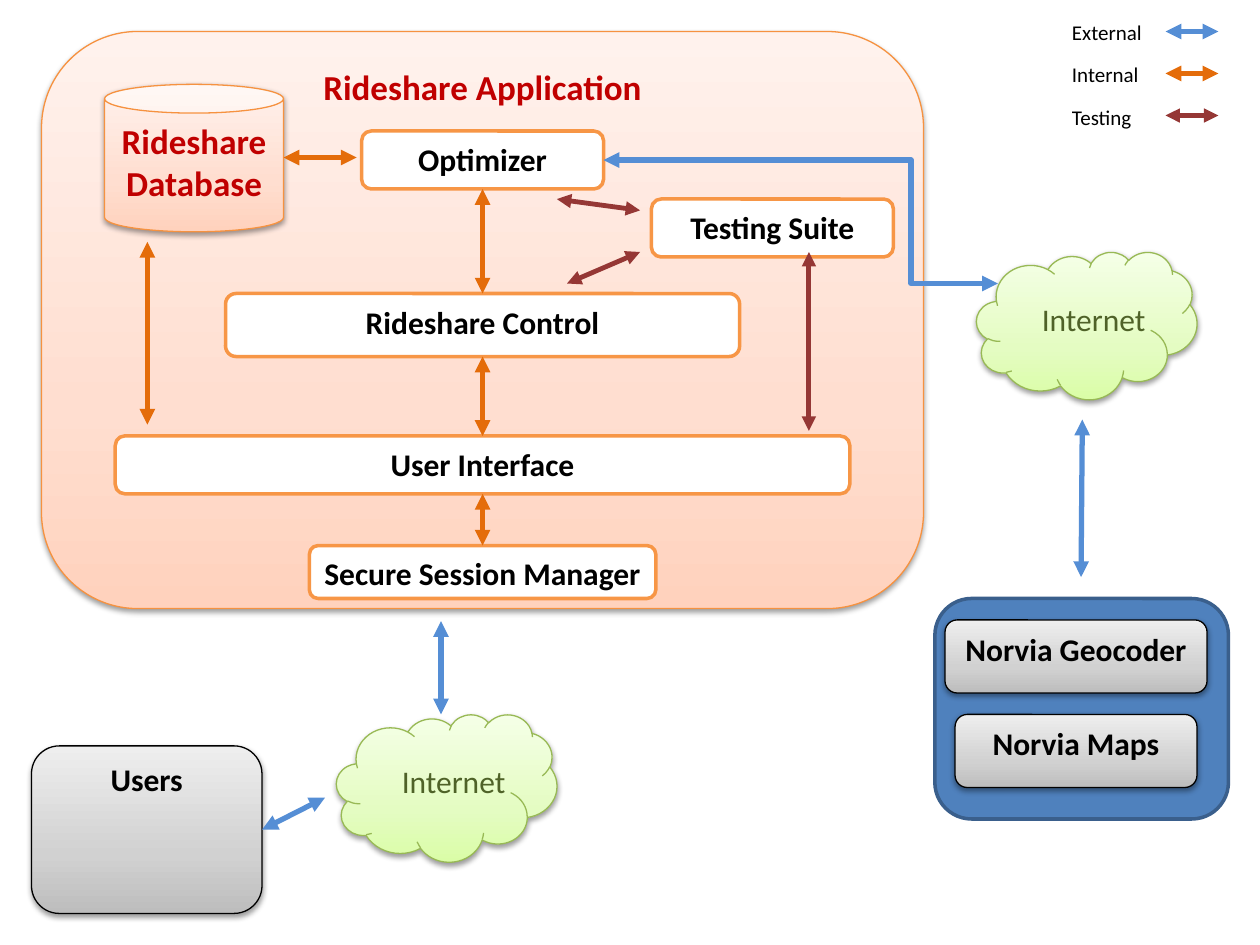
from itertools import pairwise
from lxml.etree import SubElement
from pptx import Presentation
from pptx.dml.color import RGBColor
from pptx.enum.shapes import MSO_CONNECTOR as Wire, MSO_SHAPE as Form
from pptx.enum.text import MSO_ANCHOR as Anchor, MSO_AUTO_SIZE as Fit, PP_ALIGN as Align
from pptx.oxml.ns import qn
from pptx.util import Inches, Pt

PEACH = ("FFD2BD", "FFDED0", "FFF2ED")
GREEN = ("DAFDA7", "E4FCC2", "F5FFE7")
GREY = ("BDBDBD", "D1D1D1", "EEEEEE")
BLUE, ORANGE, RED = "558ED5", "E46C0A", "953735"
BLACK, CRIMSON = "000000", "C00000"
TOP, LEFT, BOTTOM, RIGHT = range(4)


def color(code):
    return RGBColor.from_string(code)


def node(parent, tag, **attrs):
    return SubElement(parent, qn(tag), attrs)


def write(shape, text, size=18, tint=BLACK, bold=True, align=Align.CENTER):
    frame = shape.text_frame
    frame.vertical_anchor = Anchor.TOP
    para = frame.paragraphs[0]
    para.alignment = align
    run = para.add_run()
    run.text = text
    font = run.font
    font.name, font.size, font.bold = "Calibri", Pt(size), bold
    font.color.rgb = color(tint)


def label(slide, x, y, w, h, text, **style):
    box = slide.shapes.add_textbox(Inches(x), Inches(y), Inches(w), Inches(h))
    box.text_frame.word_wrap = False
    box.text_frame.auto_size = Fit.SHAPE_TO_FIT_TEXT
    write(box, text, bold=False, align=Align.LEFT, **style)


def block(slide, form, x, y, w, h, fill, edge, width):
    shape = slide.shapes.add_shape(form, Inches(x), Inches(y), Inches(w), Inches(h))
    shape.fill.solid()
    shape.fill.fore_color.rgb = color(fill)
    shape.line.color.rgb = color(edge)
    shape.line.width = Pt(width)
    shape.shadow.inherit = False
    return shape


def glossy(slide, form, x, y, w, h, tints, edge):
    shape = block(slide, form, x, y, w, h, tints[0], edge, 0.75)
    shape.fill.gradient()
    shape.fill.gradient_angle = 90
    props = shape._element.spPr
    stops = props.find(qn("a:gradFill")).find(qn("a:gsLst"))
    for stop in list(stops):
        stops.remove(stop)
    for spot, tint in zip((0, 35000, 100000), tints):
        stop = node(stops, "a:gs", pos=str(spot))
        node(stop, "a:srgbClr", val=tint)
    shade = node(props.find(qn("a:effectLst")), "a:outerShdw", blurRad="40000",
                 dist="20000", dir="5400000", rotWithShape="0")
    node(node(shade, "a:srgbClr", val=BLACK), "a:alpha", val="38000")
    return shape


def arrow(slide, x1, y1, x2, y2, tint, start=None, end=None, bend=None):
    wire = Wire.ELBOW if bend else Wire.STRAIGHT
    line = slide.shapes.add_connector(wire, Inches(x1), Inches(y1), Inches(x2), Inches(y2))
    line.line.color.rgb = color(tint)
    line.line.width = Pt(2.75 if tint == RED else 3)
    if start:
        line.begin_connect(*start)
    if end:
        line.end_connect(*end)
    props = line._element.spPr
    for tag in ("a:headEnd", "a:tailEnd"):
        node(props.find(qn("a:ln")), tag, type="triangle")
    node(props, "a:effectLst")
    if bend:
        guides = props.find(qn("a:prstGeom")).find(qn("a:avLst"))
        node(guides, "a:gd", name="adj1", fmla=f"val {round(bend * 100000)}")


def module(slide, x, y, w, h, text):
    shape = block(slide, Form.ROUNDED_RECTANGLE, x, y, w, h, "FFFFFF", "F79646", 2)
    write(shape, text)
    return shape


def app(slide, x, y, w, h):
    frame = glossy(slide, Form.ROUNDED_RECTANGLE, x, y, w, h, PEACH, "F69240")
    write(frame, "Rideshare Application", size=20, tint=CRIMSON)
    store = glossy(slide, Form.CAN, x + 0.5, y + 0.42, 1.42, 1.17, PEACH, "F69240")
    store.adjustments[0] = 0.195
    write(store, "Rideshare Database", size=20, tint=CRIMSON)

    mid = x + w / 2
    rows = (("Optimizer", 0.79, 1.92, 0.46), ("Rideshare Control", 2.08, 4.08, 0.5),
            ("User Interface", 3.21, 5.83, 0.46), ("Secure Session Manager", 4.08, 2.75, 0.42))
    stack = [module(slide, mid - wide / 2, y + top, wide, high, text)
             for text, top, wide, high in rows]
    module(slide, x + 4.84, y + 1.33, 1.92, 0.46, "Testing Suite")

    for (upper, a), (lower, b) in pairwise(zip(stack, rows)):
        arrow(slide, mid, y + a[1] + a[3], mid, y + b[1], ORANGE,
              start=(upper, BOTTOM), end=(lower, TOP))
    links = ((2.5, 1, 1.92, 1, ORANGE), (0.84, 1.67, 0.84, 3.12, ORANGE),
             (4.75, 1.75, 4.17, 2, RED), (4.09, 1.33, 4.75, 1.42, RED),
             (6.09, 1.75, 6.09, 3.17, RED))
    for x1, y1, x2, y2, tint in links:
        arrow(slide, x + x1, y + y1, x + x2, y + y2, tint)
    return stack[0]


def cloud(slide, x, y, w, h):
    glossy(slide, Form.CLOUD, x, y, w, h, GREEN, "98B955")
    label(slide, x + 0.42, y + 0.33, 1.05, 0.4, "Internet", tint="4F6228")


def panel(slide, x, y, w, h, text):
    shape = glossy(slide, Form.ROUNDED_RECTANGLE, x, y, w, h, GREY, BLACK)
    write(shape, text)
    return shape


def vendor(slide, x, y, w, h):
    block(slide, Form.ROUNDED_RECTANGLE, x, y, w, h, "4F81BD", "3A5F8C", 2)
    panel(slide, x + 0.08, y + 0.17, 2.08, 0.58, "Norvia Geocoder")
    panel(slide, x + 0.16, y + 0.92, 1.92, 0.58, "Norvia Maps")


def legend(slide, x, y, w, h):
    step = h / 3
    for row, (text, tint) in enumerate((("External", BLUE), ("Internal", ORANGE), ("Testing", RED))):
        top = y + row * step
        label(slide, x, top, 0.76, 0.3, text, size=12)
        arrow(slide, x + w - 0.42, top + 0.14, x + w, top + 0.14, tint)


def main():
    deck = Presentation()
    deck.slide_width, deck.slide_height = Inches(10), Inches(7.5)
    slide = deck.slides.add_slide(deck.slide_layouts[6])
    core = app(slide, 0.33, 0.25, 7, 4.58)
    cloud(slide, 2.67, 5.67, 1.75, 1.17)
    cloud(slide, 7.75, 2, 1.75, 1.17)
    vendor(slide, 7.42, 4.75, 2.33, 1.75)
    users = panel(slide, 0.25, 5.92, 1.83, 1.33, "Users")
    arrow(slide, 3.5, 4.93, 3.5, 5.67, BLUE)
    arrow(slide, 2.58, 6.33, 2.08, 6.58, BLUE, end=(users, RIGHT))
    arrow(slide, 8.59, 3.33, 8.58, 4.58, BLUE)
    arrow(slide, 4.79, 1.27, 7.92, 2.25, BLUE, start=(core, RIGHT), bend=0.78)
    legend(slide, 8.41, 0.11, 1.26, 1)
    deck.save("out.pptx")


if __name__ == "__main__":
    main()
